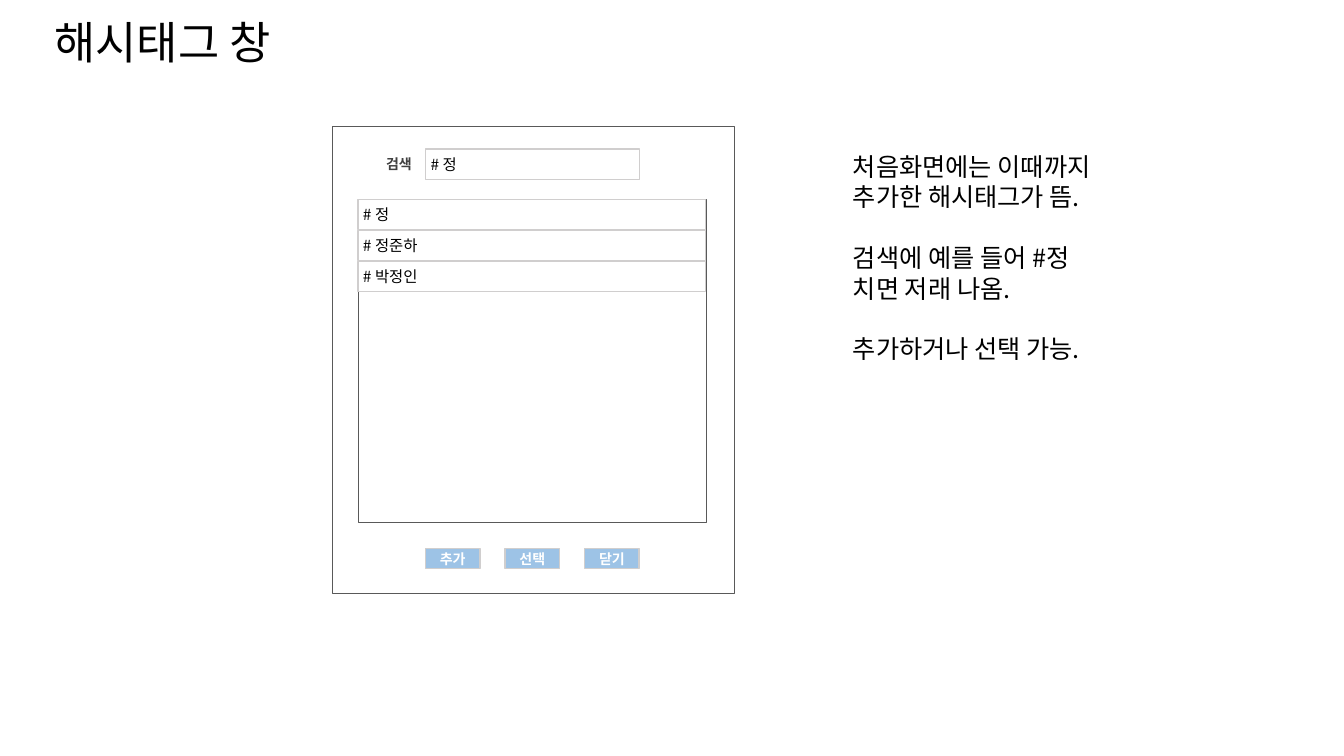
from dataclasses import dataclass

from lxml.etree import SubElement
from pptx import Presentation
from pptx.dml.color import RGBColor
from pptx.enum.shapes import MSO_SHAPE as Preset
from pptx.enum.text import MSO_ANCHOR as Anchor, PP_ALIGN as Align
from pptx.oxml.ns import qn
from pptx.util import Inches, Pt

COLUMNS, ROWS = 133.3, 75
CELL = Inches(0.1)


@dataclass(frozen=True)
class Theme:
    font: str = "Noto Sans CJK KR"
    text: str = "000000"
    label: str = "404040"
    white: str = "FFFFFF"
    frame: str = "595959"
    border: str = "D0CECE"
    button: str = "9DC3E6"
    title_size: int = 32
    note_size: int = 18
    entry_size: int = 11
    label_size: int = 10
    note_leading: float = 21.7
    frame_width: float = 0.25
    border_width: float = 1
    entry_opacity: int = 84


@dataclass(frozen=True)
class Box:
    left: float
    top: float
    width: float
    height: float

    def inner(self, left, top, width, height):
        return Box(self.left + left, self.top + top, width, height)

    def lengths(self):
        return [round(value * CELL) for value in (self.left, self.top, self.width, self.height)]


THEME = Theme()


def add_run(paragraph, text, size, color, bold=False):
    run = paragraph.add_run()
    run.text = text
    run.font.name = THEME.font
    run.font.size = Pt(size)
    run.font.bold = bold
    run.font.color.rgb = RGBColor.from_string(color)
    east_asian = SubElement(run.font._element, qn("a:ea"))
    east_asian.set("typeface", THEME.font)


def prepare_frame(shape, anchor=Anchor.MIDDLE, wrap=True):
    frame = shape.text_frame
    frame.word_wrap = wrap
    frame.vertical_anchor = anchor
    frame.margin_left = frame.margin_right = Inches(0.05)
    frame.margin_top = frame.margin_bottom = Inches(0.05)
    return frame


def add_text(slide, box, text, size, color, bold=False):
    shape = slide.shapes.add_textbox(*box.lengths())
    paragraph = prepare_frame(shape, wrap=False).paragraphs[0]
    add_run(paragraph, text, size, color, bold)
    return paragraph


def add_rectangle(slide, box, line, line_width, fill=None):
    shape = slide.shapes.add_shape(Preset.RECTANGLE, *box.lengths())
    shape.shadow.inherit = False
    shape.line.color.rgb = RGBColor.from_string(line)
    shape.line.width = Pt(line_width)
    if fill:
        shape.fill.solid()
        shape.fill.fore_color.rgb = RGBColor.from_string(fill)
    else:
        shape.fill.background()
    return shape


def add_entry(slide, box, text):
    shape = add_rectangle(slide, box, THEME.border, THEME.border_width, THEME.white)
    color = shape.fill._xPr.find(".//" + qn("a:srgbClr"))
    SubElement(color, qn("a:alpha")).set("val", str(THEME.entry_opacity * 1000))
    paragraph = prepare_frame(shape).paragraphs[0]
    paragraph.alignment = Align.LEFT
    add_run(paragraph, text, THEME.entry_size, THEME.text)


def add_button(slide, box, text):
    shape = add_rectangle(slide, box, THEME.border, THEME.border_width, THEME.button)
    frame = prepare_frame(shape)
    frame.margin_top = frame.margin_bottom = 0
    paragraph = frame.paragraphs[0]
    paragraph.alignment = Align.CENTER
    add_run(paragraph, text, THEME.label_size, THEME.white, bold=True)


def add_title(slide, box, text):
    paragraph = add_text(slide, box, text, THEME.title_size, THEME.text)
    paragraph.line_spacing = 0.9


def add_search(slide, box, label, query):
    add_text(slide, box.inner(0, 0, 3.9, box.height), label,
             THEME.label_size, THEME.label, bold=True)
    add_entry(slide, box.inner(4.4, 0, box.width - 4.4, box.height), query)


def add_results(slide, box, entries):
    add_rectangle(slide, box, THEME.frame, THEME.frame_width)
    for index, entry in enumerate(entries):
        add_entry(slide, box.inner(0, index * 3.06, box.width, 3), entry)


def add_buttons(slide, box, labels):
    width = 5.4
    pitch = (box.width - width) / (len(labels) - 1)
    for index, label in enumerate(labels):
        add_button(slide, box.inner(index * pitch, 0, width, box.height), label)


def add_dialog(slide, box):
    add_rectangle(slide, box, THEME.frame, THEME.frame_width)
    add_search(slide, box.inner(4.9, 2.3, 25.6, 3), "검색", "# 정")
    add_results(slide, box.inner(2.6, 7.3, 34.5, 32), ["# 정", "# 정준하", "# 박정인"])
    add_buttons(slide, box.inner(9.3, 41.9, 21.2, 2), ["추가", "선택", "닫기"])


def add_notes(slide, box, notes):
    shape = slide.shapes.add_textbox(*box.lengths())
    frame = prepare_frame(shape, Anchor.TOP)
    for index, note in enumerate(notes):
        paragraph = frame.add_paragraph() if index else frame.paragraphs[0]
        paragraph.line_spacing = Pt(THEME.note_leading)
        if index:
            paragraph.space_before = Pt(THEME.note_leading)
        add_run(paragraph, note, THEME.note_size, THEME.text)


def add_hashtag_slide(presentation, box):
    slide = presentation.slides.add_slide(presentation.slide_layouts[6])
    add_title(slide, box.inner(4.9, 0.8, 46.1, 7.4), "해시태그 창")
    add_dialog(slide, box.inner(32.9, 12.5, 39.9, 46.4))
    add_notes(slide, box.inner(84.1, 14.5, 26.8, 25.2), [
        "처음화면에는 이때까지 추가한 해시태그가 뜸.",
        "검색에 예를 들어 #정 치면 저래 나옴.",
        "추가하거나 선택 가능.",
    ])


presentation = Presentation()
presentation.slide_width = round(COLUMNS * CELL)
presentation.slide_height = ROWS * CELL
add_hashtag_slide(presentation, Box(0, 0, COLUMNS, ROWS))
presentation.save("out.pptx")
